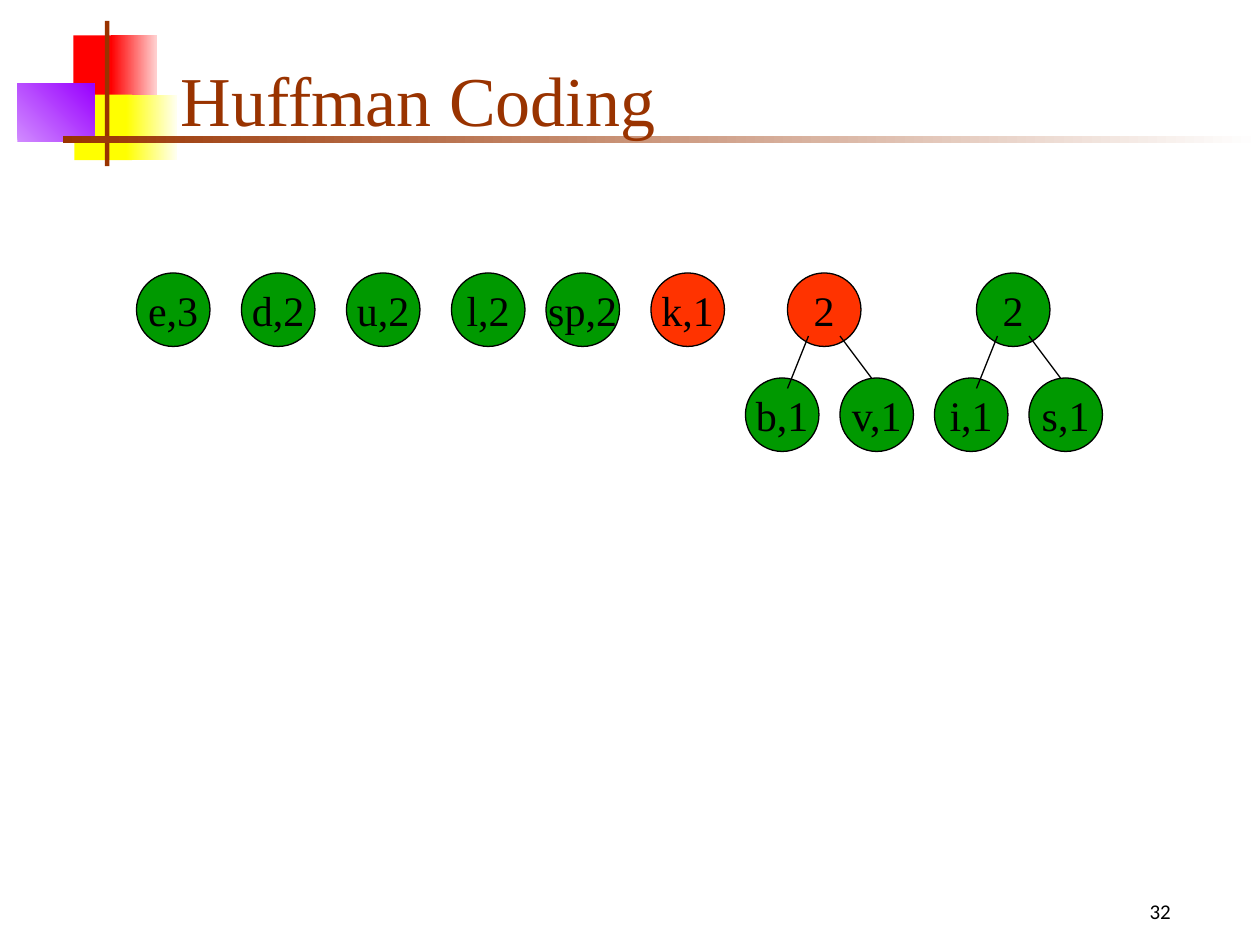
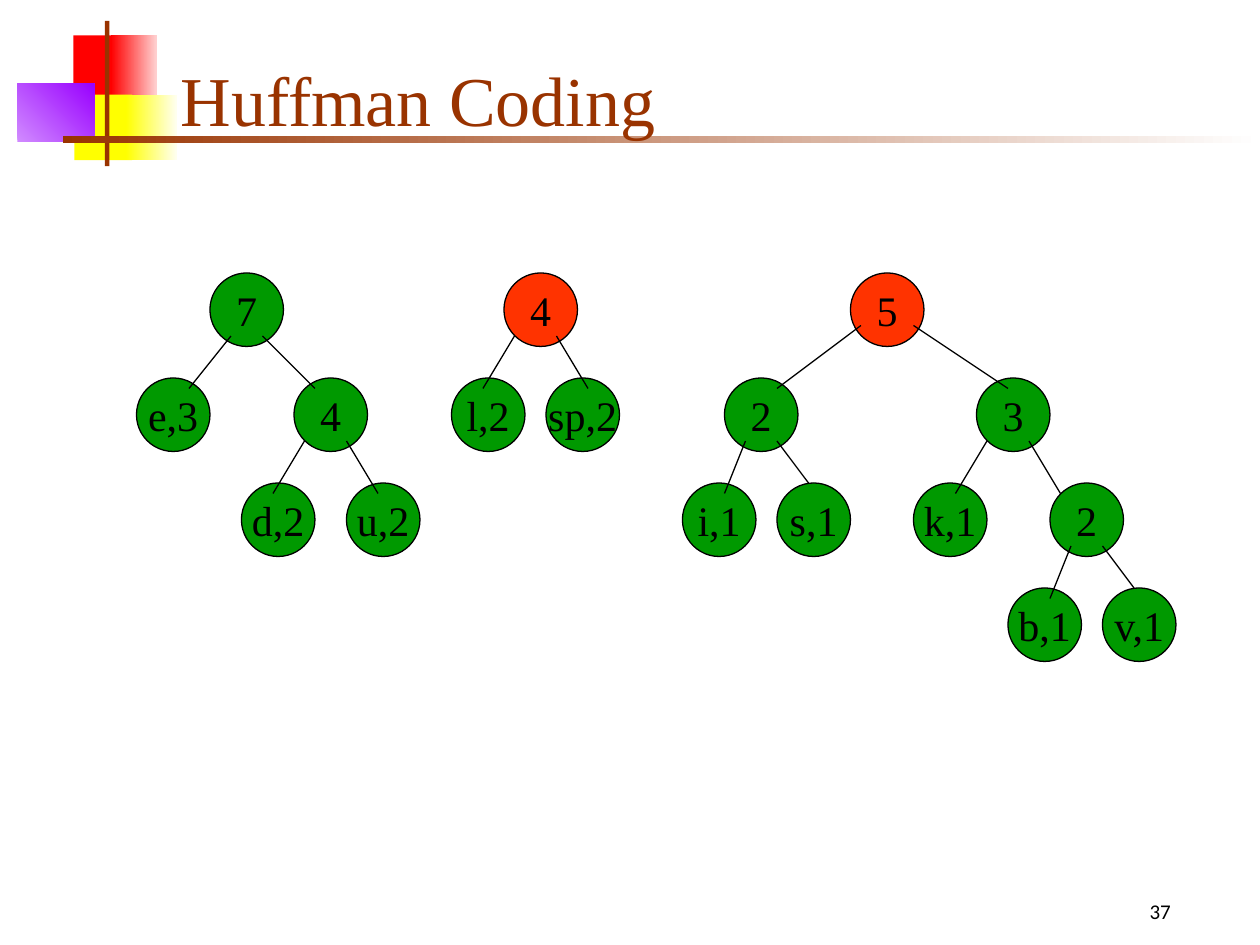
from dataclasses import dataclass

from lxml import etree
from pptx import Presentation
from pptx.dml.color import RGBColor
from pptx.enum.shapes import MSO_CONNECTOR, MSO_SHAPE
from pptx.enum.text import MSO_ANCHOR, MSO_AUTO_SIZE, PP_ALIGN
from pptx.oxml.ns import qn
from pptx.util import Pt

RECTANGLE, OVAL = MSO_SHAPE.RECTANGLE, MSO_SHAPE.OVAL
STRAIGHT = MSO_CONNECTOR.STRAIGHT
LEFT, CENTER = PP_ALIGN.LEFT, PP_ALIGN.CENTER
MIDDLE, BOTTOM = MSO_ANCHOR.MIDDLE, MSO_ANCHOR.BOTTOM
FIXED_SIZE = MSO_AUTO_SIZE.NONE

BLACK = RGBColor(0x00, 0x00, 0x00)
WHITE = RGBColor(0xFF, 0xFF, 0xFF)
BROWN = RGBColor(0x99, 0x33, 0x00)
RED = RGBColor(0xFF, 0x00, 0x00)
PINK = RGBColor(0xFF, 0xD1, 0xD1)
YELLOW = RGBColor(0xFF, 0xFF, 0x00)
CREAM = RGBColor(0xFF, 0xFF, 0xF0)
LILAC = RGBColor(0xD1, 0x8B, 0xFF)
PURPLE = RGBColor(0x99, 0x00, 0xFF)
GREEN = RGBColor(0x00, 0x99, 0x00)
ORANGE = RGBColor(0xFF, 0x33, 0x00)

SERIF, SANS = "Times New Roman", "Calibri"
TITLE = "Huffman Coding"

# Nodes sit on a grid of small square units.
UNIT = 6
NODE_SIZE = 7
TOP_ROW = 26
ROW_STEP = 10
LINE_WIDTH = 0.74

# Left, top, width, height, colours (two make a gradient), gradient angle.
DECORATION = [
    (42, 20.25, 25, 37.5, [RED], 0),
    (63.5, 20.25, 26, 37.5, [RED, PINK], 0),
    (42.5, 54, 33, 37.5, [YELLOW], 0),
    (72, 54, 29, 37.5, [YELLOW, CREAM], 0),
    (10, 48, 44, 33, [LILAC, PURPLE], 45),
    (60, 12, 2.5, 83, [BROWN], 0),
    (36, 78, 684, 3.75, [BROWN, WHITE], 0),
]


@dataclass
class Node:
    """A tree node; each branch is (child, start offset, end offset) in units."""
    label: str
    column: int
    branches: tuple = ()
    color: RGBColor = GREEN


def pair(column, left, right, color=GREEN):
    """Return the tree of weight 2 that joins two letters of weight 1."""
    return Node("2", column, (
        (Node(left, column - 4), (2, 6), (4, 1)),
        (Node(right, column + 5), (5, 6), (3, 0)),
    ), color)


FIRST_FOREST = [
    Node("e,3", 13), Node("d,2", 23), Node("u,2", 33), Node("l,2", 43),
    Node("sp,2", 52), Node("k,1", 62, color=ORANGE),
    pair(93, "i,1", "s,1"),
    pair(75, "b,1", "v,1", ORANGE),
]
DU_TREE = Node("4", 28, (
    (Node("d,2", 23), (1, 6), (3, 1)),
    (Node("u,2", 33), (5, 6), (3, 1)),
))
KBV_TREE = Node("3", 93, (
    (Node("k,1", 87), (1, 6), (4, 1)),
    (pair(100, "b,1", "v,1"), (5, 6), (1, 1)),
))
SECOND_FOREST = [
    Node("7", 20, (
        (Node("e,3", 13), (2, 6), (5, 1)),
        (DU_TREE, (5, 6), (2, 1)),
    )),
    Node("4", 48, (
        (Node("l,2", 43), (1, 6), (3, 1)),
        (Node("sp,2", 52), (5, 6), (4, 1)),
    ), ORANGE),
    Node("5", 81, (
        (pair(69, "i,1", "s,1"), (1, 5), (5, 1)),
        (KBV_TREE, (6, 5), (3, 1)),
    ), ORANGE),
]
PAGES = [("32", FIRST_FOREST), ("37", SECOND_FOREST)]


def write(frame, text, font_name, size, color, align):
    """Put one formatted paragraph in a text frame and return it."""
    para = frame.paragraphs[0]
    para.text = text
    para.alignment = align
    para.font.name = font_name
    para.font.size = Pt(size)
    para.font.color.rgb = color
    return para


def add_plain_shape(page, kind, left, top, width, height):
    """Add a preset shape without a shadow."""
    shape = page.shapes.add_shape(kind, Pt(left), Pt(top), Pt(width), Pt(height))
    shape.shadow.inherit = False
    return shape


def decorate(layout, page):
    """Draw the coloured bands and move them to the shared layout."""
    for left, top, width, height, colors, angle in DECORATION:
        band = add_plain_shape(page, RECTANGLE, left, top, width, height)
        band.line.fill.background()
        if len(colors) == 1:
            band.fill.solid()
            band.fill.fore_color.rgb = colors[0]
        else:
            band.fill.gradient()
            band.fill.gradient_angle = angle
            for stop, color in zip(band.fill.gradient_stops, colors):
                stop.color.rgb = color
        layout.shapes.element.append(band.element)


def add_title(page):
    """Place and format the title."""
    title = page.shapes.title
    title.left, title.top, title.width, title.height = Pt(96), Pt(18), Pt(613.5), Pt(66)
    frame = title.text_frame
    frame.auto_size = FIXED_SIZE
    frame.vertical_anchor = BOTTOM
    write(frame, TITLE, SERIF, 40, BROWN, LEFT)


def add_page_number(page, number):
    """Write the page number at the bottom right."""
    box = page.shapes.add_textbox(Pt(624), Pt(510), Pt(78), Pt(24))
    box.text_frame.word_wrap = True
    para = write(box.text_frame, number, SANS, 12, BLACK, CENTER)
    para.space_before = Pt(7.5)


def add_branch(page, start, end):
    """Draw a thin line between two grid points."""
    points = [Pt(value * UNIT) for value in (*start, *end)]
    line = page.shapes.add_connector(STRAIGHT, *points)
    line.line.color.rgb = BLACK
    line.line.width = Pt(LINE_WIDTH)
    etree.SubElement(line.element.spPr, qn("a:effectLst"))


def draw_tree(page, node, row=TOP_ROW):
    """Draw the children of a node, then the node, then its branches."""
    for child, _, _ in node.branches:
        draw_tree(page, child, row + ROW_STEP)
    size = NODE_SIZE * UNIT
    circle = add_plain_shape(page, OVAL, node.column * UNIT, row * UNIT, size, size)
    circle.fill.solid()
    circle.fill.fore_color.rgb = node.color
    circle.line.color.rgb = BLACK
    circle.line.width = Pt(LINE_WIDTH)
    circle.text_frame.word_wrap = False
    circle.text_frame.vertical_anchor = MIDDLE
    write(circle.text_frame, node.label, SERIF, 24, BLACK, CENTER)
    for child, (start_x, start_y), (end_x, end_y) in node.branches:
        add_branch(page, (node.column + start_x, row + start_y),
                   (child.column + end_x, row + ROW_STEP + end_y))


def main():
    """Build and save the deck."""
    deck = Presentation()
    deck.slide_width, deck.slide_height = Pt(720), Pt(540)
    layout = deck.slide_layouts.get_by_name("Title Only")
    for index, (number, forest) in enumerate(PAGES):
        page = deck.slides.add_slide(layout)
        if index == 0:
            decorate(layout, page)
        add_title(page)
        add_page_number(page, number)
        for tree in forest:
            draw_tree(page, tree)
    deck.save("out.pptx")


main()
